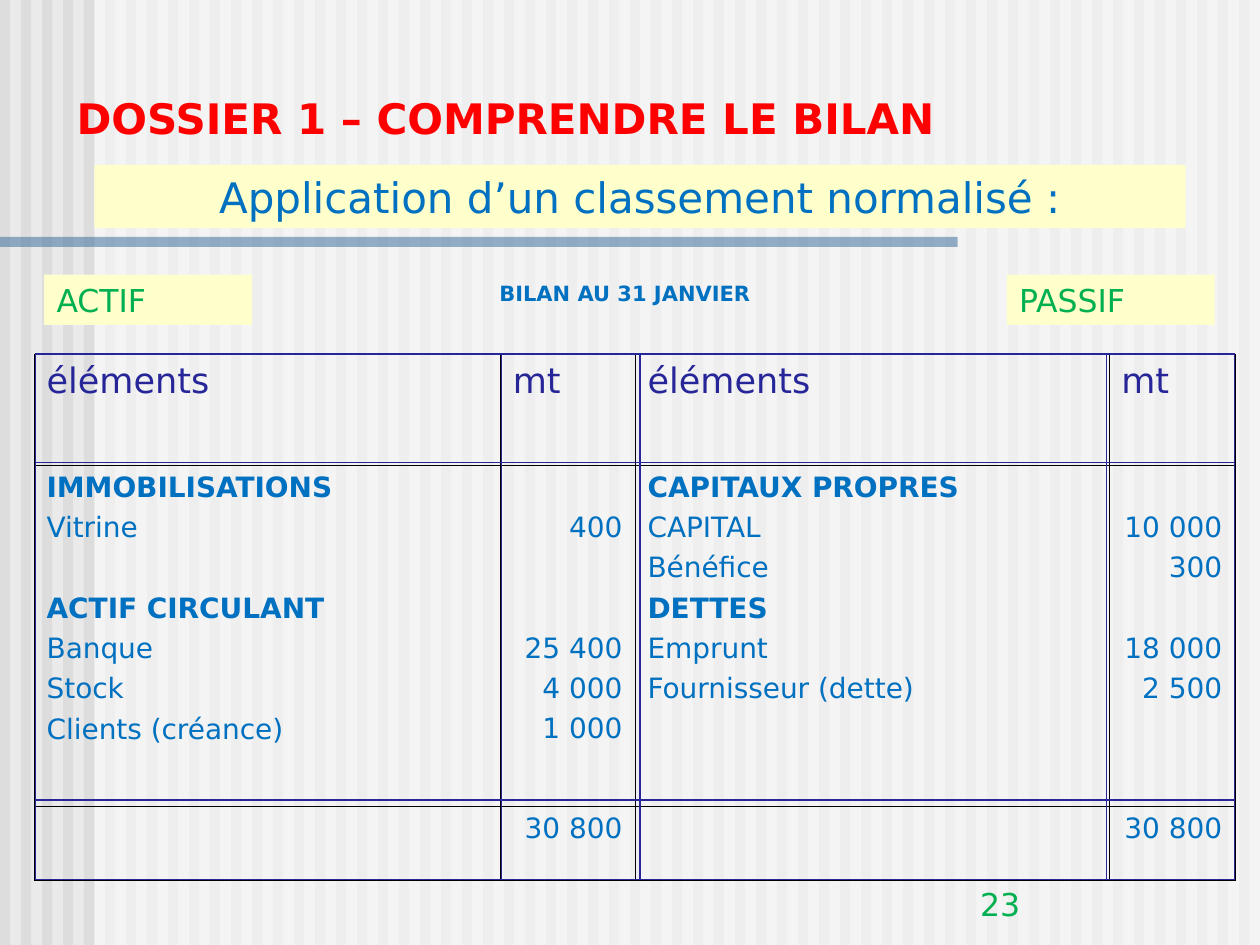
from lxml import etree
from pptx import Presentation
from pptx.dml.color import RGBColor
from pptx.enum.shapes import MSO_CONNECTOR, MSO_SHAPE
from pptx.enum.text import MSO_ANCHOR, PP_ALIGN
from pptx.oxml.ns import qn
from pptx.util import Inches, Pt

RECTANGLE = MSO_SHAPE.RECTANGLE
STRAIGHT = MSO_CONNECTOR.STRAIGHT
TOP, BOTTOM = MSO_ANCHOR.TOP, MSO_ANCHOR.BOTTOM
LEFT, CENTER, RIGHT = PP_ALIGN.LEFT, PP_ALIGN.CENTER, PP_ALIGN.RIGHT

FONT = "DejaVu Sans"
RED, BLUE, GREEN, NAVY = "FF0000", "0070C0", "00B050", "262699"
CREAM, GREY, PALE, STEEL = "FFFFCC", "DDDDDD", "EAEAEA", "336699"
WHITE, BLACK = "FFFFFF", "000000"

SLIDE_WIDTH, SLIDE_HEIGHT = 10, 7.5
STRIPE_COUNT = 60
ENTRY_GAP, ENTRY_PITCH = 4, 23
COLUMN_WIDTHS = [3.7, 1.07, 3.76, 1]
ROW_HEIGHTS = [0.88, 2.71, 0.59]
RULE_ROWS = [2.81, 3.67, 6.35, 6.98]
RULE_COLUMNS = [0.28, 3.98, 5.08, 8.78, 9.8]

HEADINGS = ["éléments", "mt", "éléments", "mt"]
ENTRIES = [
    ["IMMOBILISATIONS", "Vitrine", "", "ACTIF CIRCULANT", "Banque", "Stock",
     "Clients (créance)"],
    ["", "400", "", "", "25 400", "4 000", "1 000"],
    ["CAPITAUX PROPRES", "CAPITAL", "Bénéfice", "DETTES", "Emprunt",
     "Fournisseur (dette)"],
    ["", "10 000", "300", "", "18 000", "2 500"],
]
TOTALS = ["", "30 800", "", "30 800"]
SECTIONS = {"IMMOBILISATIONS", "ACTIF CIRCULANT", "CAPITAUX PROPRES", "DETTES"}


def color(value):
    return RGBColor.from_string(value)


class SlideBuilder:
    """Holds the slide and its font, and adds each kind of element to it."""

    def __init__(self, slide, font):
        self.slide = slide
        self.font = font

    def background(self, fill):
        self.slide.background.fill.solid()
        self.slide.background.fill.fore_color.rgb = color(fill)

    def style(self, para, size, ink, bold=False, align=LEFT):
        para.alignment = align
        para.font.name = self.font
        para.font.size = Pt(size)
        para.font.bold = bold
        para.font.color.rgb = color(ink)

    def set_text(self, shape, text, size, ink, bold, align, anchor):
        frame = shape.text_frame
        frame.word_wrap = True
        frame.vertical_anchor = anchor
        frame.text = text
        self.style(frame.paragraphs[0], size, ink, bold, align)

    def rectangle(self, left, top, width, height, fill, opacity=100):
        shape = self.slide.shapes.add_shape(
            RECTANGLE, Inches(left), Inches(top), Inches(width), Inches(height))
        shape.shadow.inherit = False
        shape.line.fill.background()
        shape.fill.solid()
        shape.fill.fore_color.rgb = color(fill)
        if opacity < 100:
            tint = shape._element.spPr.find(qn("a:solidFill"))[0]
            etree.SubElement(tint, qn("a:alpha"), val=str(opacity * 1000))
        return shape

    def label(self, left, top, width, height, text, size, ink, align=LEFT):
        shape = self.rectangle(left, top, width, height, CREAM)
        self.set_text(shape, text, size, ink, False, align, TOP)

    def text(self, left, top, width, height, text, size, ink,
             bold=False, align=LEFT, anchor=TOP):
        box = self.slide.shapes.add_textbox(
            Inches(left), Inches(top), Inches(width), Inches(height))
        self.set_text(box, text, size, ink, bold, align, anchor)

    def rule(self, left, top, right, bottom):
        line = self.slide.shapes.add_connector(
            STRAIGHT, Inches(left), Inches(top), Inches(right), Inches(bottom))
        line.line.color.rgb = color(NAVY)
        line.line.width = Pt(0.75)
        etree.SubElement(line._element.spPr, qn("a:effectLst"))

    def borders(self, cell, outer_sides):
        properties = cell._tc.get_or_add_tcPr()
        for index, side in enumerate("LRTB"):
            width = Pt(0.23 if side in outer_sides else 0.11)
            border = etree.Element(qn(f"a:ln{side}"), w=str(int(width)))
            fill = etree.SubElement(border, qn("a:solidFill"))
            etree.SubElement(fill, qn("a:srgbClr"), val=BLACK)
            properties.insert(index, border)

    def fill_cell(self, cell, entries, size, ink, align):
        frame = cell.text_frame
        skipped = 0
        started = False
        for entry in entries:
            if not entry:
                skipped += 1
                continue
            para = frame.add_paragraph() if started else frame.paragraphs[0]
            para.text = entry
            self.style(para, size, ink, entry in SECTIONS, align)
            if started:
                para.line_spacing = 1.03
                para.space_before = Pt(ENTRY_GAP + skipped * ENTRY_PITCH)
            else:
                para.line_spacing = 1.01
                cell.margin_top = Inches(0.05) + Pt(skipped * ENTRY_PITCH)
            started = True
            skipped = 0

    def table(self, left, top, widths, heights, rows):
        table = self.slide.shapes.add_table(
            len(heights), len(widths), Inches(left), Inches(top),
            Inches(sum(widths)), Inches(sum(heights))).table
        table.first_row = False
        table.horz_banding = False
        for column, width in zip(table.columns, widths):
            column.width = Inches(width)
        for row, height in zip(table.rows, heights):
            row.height = Inches(height)
        last_row, last_column = len(heights) - 1, len(widths) - 1
        for row, contents in enumerate(rows):
            size, ink = (20, NAVY) if row == 0 else (16, BLUE)
            for column, entries in enumerate(contents):
                cell = table.cell(row, column)
                cell.fill.background()
                edges = {"L": column == 0, "R": column == last_column,
                         "T": row == 0, "B": row == last_row}
                self.borders(cell, [side for side in edges if edges[side]])
                align = RIGHT if row and column % 2 else LEFT
                self.fill_cell(cell, entries, size, ink, align)


def main():
    deck = Presentation()
    deck.slide_width = Inches(SLIDE_WIDTH)
    deck.slide_height = Inches(SLIDE_HEIGHT)
    page = SlideBuilder(deck.slides.add_slide(deck.slide_layouts[6]), FONT)

    page.background(PALE)
    for stripe in range(STRIPE_COUNT):
        page.rectangle(stripe * SLIDE_WIDTH / STRIPE_COUNT, 0, 0.08,
                       SLIDE_HEIGHT, GREY)
    page.rectangle(0.75, 0, 9.25, SLIDE_HEIGHT, WHITE, 50)
    page.rectangle(0, 1.88, 7.6, 0.08, STEEL, 50)

    page.text(0.51, 0.68, 8.93, 0.5, "DOSSIER 1 – COMPRENDRE LE BILAN",
              24, RED, bold=True, anchor=BOTTOM)
    page.table(0.27, 2.81, COLUMN_WIDTHS, ROW_HEIGHTS,
               [[[heading] for heading in HEADINGS], ENTRIES,
                [[total] for total in TOTALS]])
    page.label(7.99, 2.18, 1.65, 0.4, "PASSIF", 18, GREEN)
    page.label(0.35, 2.18, 1.65, 0.4, "ACTIF", 18, GREEN)
    page.text(2.48, 2.18, 4.96, 0.31, "BILAN AU 31 JANVIER",
              12, BLUE, bold=True, align=CENTER)
    page.label(0.75, 1.31, 8.66, 0.5, "Application d’un classement normalisé :",
               24, BLUE, CENTER)
    page.text(7.68, 6.87, 2.08, 0.5, "23", 18, GREEN, anchor=BOTTOM)

    for height in RULE_ROWS:
        page.rule(RULE_COLUMNS[0], height, RULE_COLUMNS[-1], height)
    for offset in RULE_COLUMNS:
        page.rule(offset, RULE_ROWS[0], offset, RULE_ROWS[-1])

    deck.save("out.pptx")


if __name__ == "__main__":
    main()
